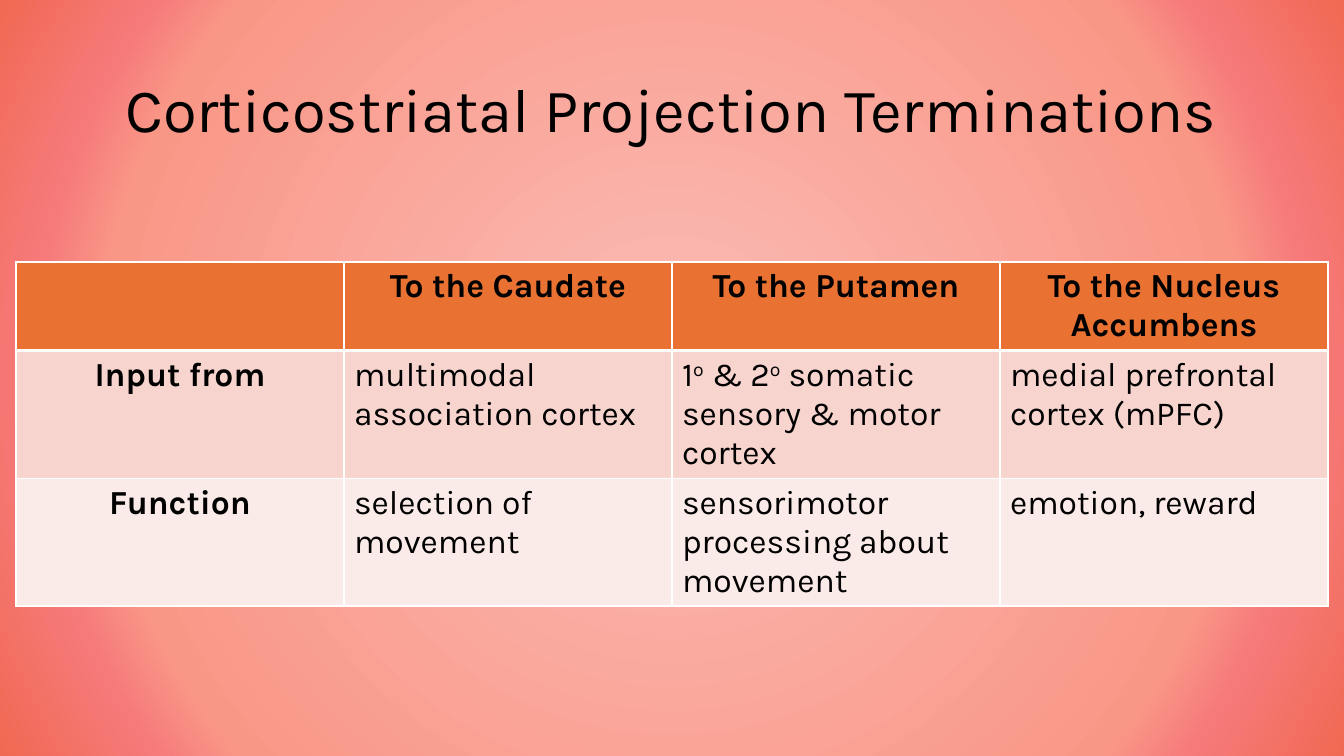
"""Build a slide with a table of corticostriatal projection terminations."""
from lxml.etree import SubElement
from pptx import Presentation
from pptx.dml.color import RGBColor
from pptx.enum.text import MSO_ANCHOR, MSO_AUTO_SIZE, PP_ALIGN
from pptx.oxml.ns import qn
from pptx.util import Pt

TITLE = "Corticostriatal Projection Terminations"
SUPER = "^"
ROWS = [
    ["", "To the Caudate", "To the Putamen", "To the Nucleus Accumbens"],
    ["Input from", "multimodal association cortex",
     "1^o^ & 2^o^ somatic sensory & motor cortex",
     "medial prefrontal cortex (mPFC)"],
    ["Function", "selection of movement",
     "sensorimotor processing about movement", "emotion, reward"],
]
COLORS = {"text": "000000", "border": "FFFFFF"}
ROW_FILLS = ["E97132", "F7D5CE", "FBEBE8"]
GRADIENT = [(0, "FBBDB7"), (74, "F99787"), (83, "F67A7A"), (100, "F06952")]
FONT = "Karla"
SLIDE_W, SLIDE_H = 1344, 756
TITLE_BOX = (92, 40, 1159, 146)
TABLE_X, TABLE_Y, COL_W = 16, 262, 328
ROW_H = [88, 128, 127]


def px(n):
    return round(n * 12192000 / SLIDE_W)


def style(font, size, bold=False):
    font.name, font.size, font.bold = FONT, Pt(size), bold
    font.color.rgb = RGBColor.from_string(COLORS["text"])


def set_background(slide):
    fill = slide.background.fill
    fill.gradient()
    grad = slide.background._cSld.find(".//" + qn("a:gradFill"))
    for child in list(grad):
        grad.remove(child)
    stops = SubElement(grad, qn("a:gsLst"))
    for pos, color in GRADIENT:
        gs = SubElement(stops, qn("a:gs"), pos=str(pos * 1000))
        SubElement(gs, qn("a:srgbClr"), val=color)
    circle = SubElement(grad, qn("a:path"), {"path": "circle"})
    SubElement(circle, qn("a:fillToRect"), {side: "50000" for side in "ltrb"})


def set_borders(cell, widths):
    tcPr = cell._tc.get_or_add_tcPr()
    for side, width in widths.items():
        ln = SubElement(tcPr, qn(f"a:ln{side}"), w=str(Pt(width)))
        solid = SubElement(ln, qn("a:solidFill"))
        SubElement(solid, qn("a:srgbClr"), val=COLORS["border"])


def fill_cell(cell, text, heading):
    p = cell.text_frame.paragraphs[0]
    p.alignment = PP_ALIGN.CENTER if heading else PP_ALIGN.LEFT
    for i, part in enumerate(text.split(SUPER)):
        r = p.add_run()
        r.text = part
        style(r.font, 24, heading)
        if i % 2:
            r._r.get_or_add_rPr().set("baseline", "30000")


def add_title(slide):
    title = slide.shapes.title
    title.left, title.top, title.width, title.height = map(px, TITLE_BOX)
    tf = title.text_frame
    tf.text = TITLE
    tf.word_wrap = True
    tf.auto_size = MSO_AUTO_SIZE.NONE
    tf.vertical_anchor = MSO_ANCHOR.MIDDLE
    p = tf.paragraphs[0]
    p.alignment, p.line_spacing = PP_ALIGN.CENTER, 0.9
    style(p.runs[0].font, 44)


def add_terminations(slide):
    n_cols = len(ROWS[0])
    table = slide.shapes.add_table(
        len(ROWS), n_cols, px(TABLE_X), px(TABLE_Y),
        px(COL_W * n_cols), px(sum(ROW_H))).table
    for col in table.columns:
        col.width = px(COL_W)
    for i, texts in enumerate(ROWS):
        table.rows[i].height = px(ROW_H[i])
        widths = {"L": 1, "R": 1, "T": 3 if i == 1 else 1, "B": 3 if i == 0 else 1}
        for j, text in enumerate(texts):
            cell = table.cell(i, j)
            set_borders(cell, widths)
            cell.fill.solid()
            cell.fill.fore_color.rgb = RGBColor.from_string(ROW_FILLS[i])
            if text:
                fill_cell(cell, text, i == 0 or j == 0)


def main():
    prs = Presentation()
    prs.slide_width, prs.slide_height = px(SLIDE_W), px(SLIDE_H)
    s = prs.slides.add_slide(prs.slide_layouts[5])
    set_background(s)
    add_title(s)
    add_terminations(s)
    prs.save("out.pptx")


if __name__ == "__main__":
    main()
